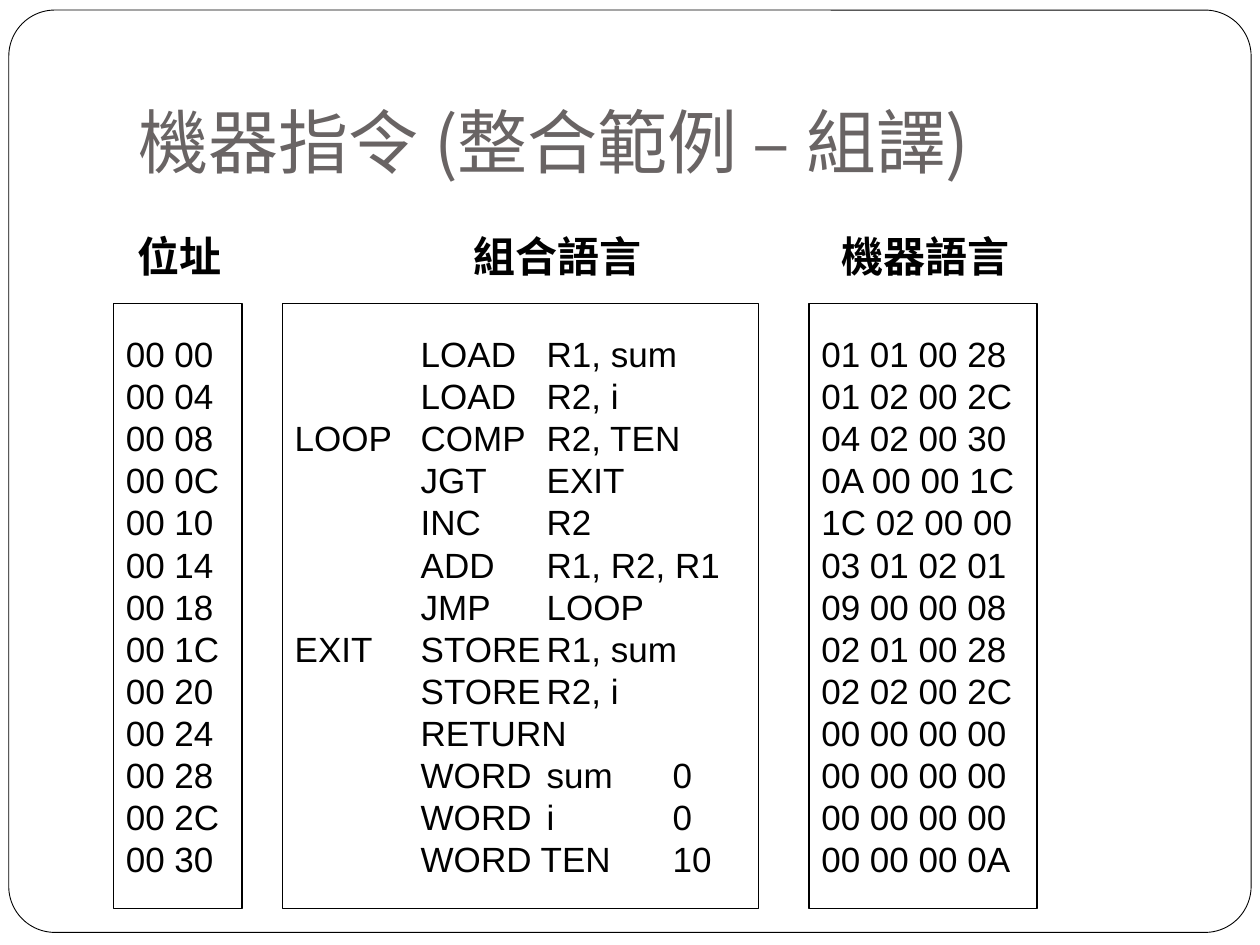
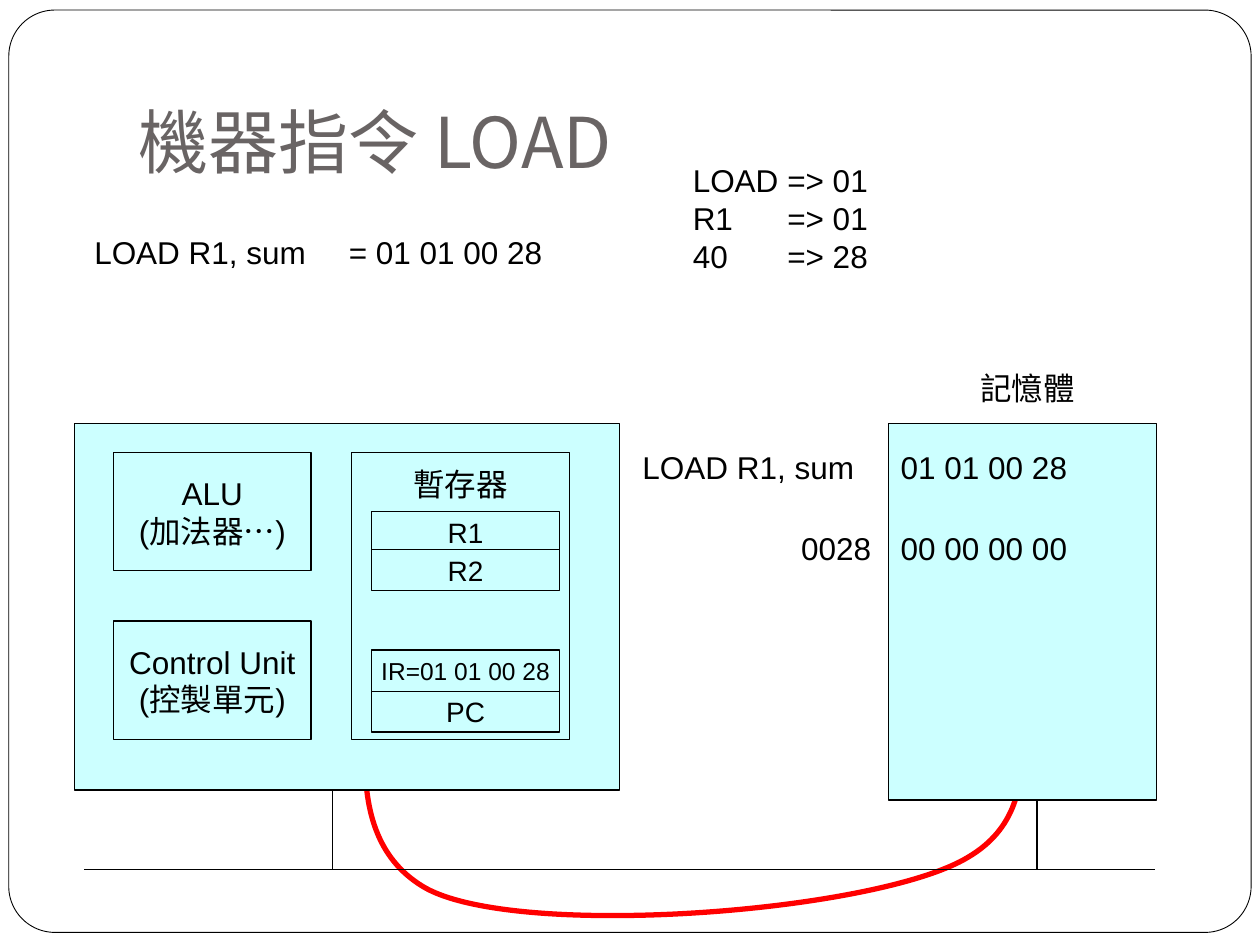
from dataclasses import dataclass

from lxml.etree import SubElement
from pptx import Presentation
from pptx.dml.color import RGBColor
from pptx.enum.shapes import MSO_CONNECTOR, MSO_SHAPE
from pptx.enum.text import MSO_ANCHOR as Anchor, MSO_AUTO_SIZE, PP_ALIGN as Align
from pptx.oxml.ns import qn
from pptx.util import Emu, Pt

EMU_PER_PX = 9144  # 100 px to the inch
TITLE_ONLY = 5

BLACK = RGBColor(0x00, 0x00, 0x00)
WHITE = RGBColor(0xFF, 0xFF, 0xFF)
GREY = RGBColor(0x69, 0x64, 0x64)
CYAN = RGBColor(0xCC, 0xFF, 0xFF)
RED = RGBColor(0xFF, 0x00, 0x00)

LATIN_FONT = "Arial"
CJK_FONT = "Noto Sans CJK SC"


def px(length: int) -> Emu:
    return Emu(length * EMU_PER_PX)


TEXT_FORMAT = {
    "auto_size": MSO_AUTO_SIZE.NONE,
    "margin_left": px(10),
    "margin_right": px(10),
    "margin_top": px(5),
    "margin_bottom": px(5),
    "word_wrap": False,
}
TITLE_FORMAT = TEXT_FORMAT | {
    "margin_bottom": px(10),
    "vertical_anchor": Anchor.BOTTOM,
    "word_wrap": True,
}
TITLE_PLACE = {"left": px(100), "top": px(30), "width": px(850), "height": px(125)}


@dataclass(frozen=True)
class Place:
    left: int
    top: int
    width: int
    height: int

    def emu(self) -> tuple[Emu, ...]:
        return tuple(px(n) for n in (self.left, self.top, self.width, self.height))


@dataclass(frozen=True)
class Label:
    """Lines of text with their style; tabs are stops in px."""
    lines: tuple[str, ...]
    size: int = 18
    bold: bool = False
    align: Align = Align.LEFT
    tabs: tuple[int, ...] = ()


@dataclass(frozen=True)
class ListingColumn:
    heading: str
    heading_left: int
    heading_width: int
    left: int
    width: int
    lines: tuple[str, ...]


INSTRUCTIONS = (
    "\tLOAD\tR1, sum", "\tLOAD\tR2, i", "LOOP\tCOMP\tR2, TEN", "\tJGT\tEXIT",
    "\tINC\tR2", "\tADD\tR1, R2, R1", "\tJMP\tLOOP", "EXIT\tSTORE\tR1, sum",
    "\tSTORE\tR2, i", "\tRETURN", "\tWORD\tsum\t0", "\tWORD\ti\t0",
    "\tWORD TEN\t10",
)
MACHINE_CODE = (
    "01 01 00 28", "01 02 00 2C", "04 02 00 30", "0A 00 00 1C", "1C 02 00 00",
    "03 01 02 01", "09 00 00 08", "02 01 00 28", "02 02 00 2C", "00 00 00 00",
    "00 00 00 00", "00 00 00 00", "00 00 00 0A",
)
ADDRESSES = tuple(f"00 {4 * row:02X}" for row in range(len(INSTRUCTIONS)))

COLUMNS = (
    ListingColumn("組合語言", 366, 153, 224, 378, INSTRUCTIONS),
    ListingColumn("機器語言", 658, 153, 642, 181, MACHINE_CODE),
    ListingColumn("位址", 99, 86, 90, 102, ADDRESSES),
)

CPU = Place(59, 336, 433, 291)
CPU_UNITS = (
    (359, ("ALU", "(加法器…)")),
    (493, ("Control Unit", "(控製單元)")),
)
REGISTERS = (
    (406, "R1", 16),
    (436, "R2", 16),
    (548, "PC", 16),
    (516, "IR=01 01 00 28", 14),
)
MEMORY = Place(705, 336, 213, 299)
MEMORY_LABELS = (
    (Place(768, 288, 95, 40), "記憶體"),
    (Place(626, 415, 75, 40), "0028"),
    (Place(705, 415, 152, 40), "00 00 00 00"),
    (Place(500, 351, 188, 40), "LOAD R1, sum"),
    (Place(705, 351, 152, 40), "01 01 00 28"),
)
BUS_LINES = (
    (67, 690, 917, 690),
    (264, CPU.top + CPU.height, 264, 690),
    (823, MEMORY.top + MEMORY.height, 823, 690),
)
# Start, then two control points and an end point for each curve
FETCH_PATH = (
    (769, 446),
    (805, 542), (841, 637), (769, 680),
    (698, 724), (413, 746), (338, 705),
    (264, 663), (292, 547), (321, 430),
)


def apply(target, values: dict) -> None:
    for attribute, value in values.items():
        setattr(target, attribute, value)


def style_run(run, latin: str, size: int, colour: RGBColor, bold: bool = False) -> None:
    apply(run.font, {"name": latin, "size": Pt(size), "bold": bold})
    run.font.color.rgb = colour
    east_asian = SubElement(run.font._element, qn("a:ea"))
    east_asian.set("typeface", CJK_FONT)


def write(frame, label: Label, anchor: Anchor = Anchor.TOP) -> None:
    apply(frame, TEXT_FORMAT | {"vertical_anchor": anchor})
    for index, line in enumerate(label.lines):
        paragraph = frame.paragraphs[0] if index == 0 else frame.add_paragraph()
        paragraph.alignment = label.align
        if label.tabs:
            stops = SubElement(paragraph._p.get_or_add_pPr(), qn("a:tabLst"))
            for stop in label.tabs:
                SubElement(stops, qn("a:tab"), pos=str(px(stop)), algn="l")
        run = paragraph.add_run()
        run.text = line
        style_run(run, LATIN_FONT, label.size, BLACK, label.bold)


def add_text(slide, place: Place, label: Label) -> None:
    write(slide.shapes.add_textbox(*place.emu()).text_frame, label)


def add_box(slide, place: Place, fill: RGBColor, label: Label | None = None,
            anchor: Anchor = Anchor.MIDDLE, kind=MSO_SHAPE.RECTANGLE,
            line_width: float = 0.75):
    box = slide.shapes.add_shape(kind, *place.emu())
    box.shadow.inherit = False
    box.fill.solid()
    box.fill.fore_color.rgb = fill
    box.line.color.rgb = BLACK
    box.line.width = Pt(line_width)
    if label:
        write(box.text_frame, label, anchor)
    return box


def add_line(slide, ends: tuple[int, int, int, int]) -> None:
    line = slide.shapes.add_connector(MSO_CONNECTOR.STRAIGHT, *map(px, ends))
    line.line.color.rgb = BLACK
    line.line.width = Pt(0.75)
    SubElement(line.element.spPr, qn("a:effectLst"))


def add_curved_arrow(slide, points: tuple[tuple[int, int], ...]) -> None:
    builder = slide.shapes.build_freeform(*points[0], scale=EMU_PER_PX)
    builder.add_line_segments(points[1:], close=False)
    arrow = builder.convert_to_shape()
    # Each three straight steps become one cubic curve
    steps = list(arrow.element.iter(qn("a:lnTo")))
    outline = steps[0].getparent()
    for first in range(0, len(steps), 3):
        curve = SubElement(outline, qn("a:cubicBezTo"))
        for step in steps[first:first + 3]:
            curve.append(step[0])
            outline.remove(step)
    arrow.fill.background()
    arrow.line.color.rgb = RED
    arrow.line.width = Pt(3)
    SubElement(arrow.line._get_or_add_ln(), qn("a:tailEnd"), type="triangle")
    arrow.shadow.inherit = False


def add_titled_slide(deck, title: str):
    slide = deck.slides.add_slide(deck.slide_layouts[TITLE_ONLY])
    heading = slide.shapes.title
    apply(heading, TITLE_PLACE)
    apply(heading.text_frame, TITLE_FORMAT)
    paragraph = heading.text_frame.paragraphs[0]
    paragraph.alignment = Align.LEFT
    run = paragraph.add_run()
    run.text = title
    style_run(run, CJK_FONT, 40, GREY)
    return slide


def add_layout_border(slide) -> None:
    """Put the rounded border on the layout that all slides share."""
    border = add_box(slide, Place(7, 8, 986, 732), WHITE,
                     kind=MSO_SHAPE.ROUNDED_RECTANGLE, line_width=0.5)
    border.adjustments[0] = 0.05
    border.element.nvSpPr.cNvPr.set("id", "100")
    slide.slide_layout.shapes.element.insert(2, border.element)


def fill_listing(slide) -> None:
    for column in COLUMNS:
        add_box(slide, Place(column.left, 241, column.width, 480), WHITE,
                Label(column.lines, size=20, tabs=(100, 200, 300)))
        add_text(slide, Place(column.heading_left, 178, column.heading_width, 50),
                 Label((column.heading,), size=24, bold=True))


def fill_load(slide) -> None:
    add_text(slide, Place(65, 180, 376, 40),
             Label(("LOAD R1, sum\t= 01 01 00 28",), tabs=(202,)))
    add_curved_arrow(slide, FETCH_PATH)
    add_text(slide, Place(540, 123, 160, 100),
             Label(("LOAD\t=> 01", "R1\t=> 01", "40\t=> 28"), tabs=(75,)))

    add_box(slide, CPU, CYAN)
    for top, lines in CPU_UNITS:
        add_box(slide, Place(90, top, 157, 94), CYAN, Label(lines, align=Align.CENTER))
    register_file = add_box(slide, Place(279, 359, 173, 228), CYAN,
                            Label(("暫存器",), align=Align.CENTER), Anchor.TOP)
    register_file.text_frame.margin_top = px(10)
    for top, name, size in REGISTERS:
        add_box(slide, Place(295, top, 149, 33), CYAN,
                Label((name,), size=size, align=Align.CENTER))

    add_box(slide, MEMORY, CYAN)
    for place, text in MEMORY_LABELS:
        add_text(slide, place, Label((text,)))
    for ends in BUS_LINES:
        add_line(slide, ends)


def main() -> None:
    deck = Presentation()
    deck.slide_width, deck.slide_height = px(1000), px(750)
    listing = add_titled_slide(deck, "機器指令 (整合範例 – 組譯)")
    add_layout_border(listing)
    fill_listing(listing)
    fill_load(add_titled_slide(deck, "機器指令 LOAD"))
    deck.save("out.pptx")


if __name__ == "__main__":
    main()
